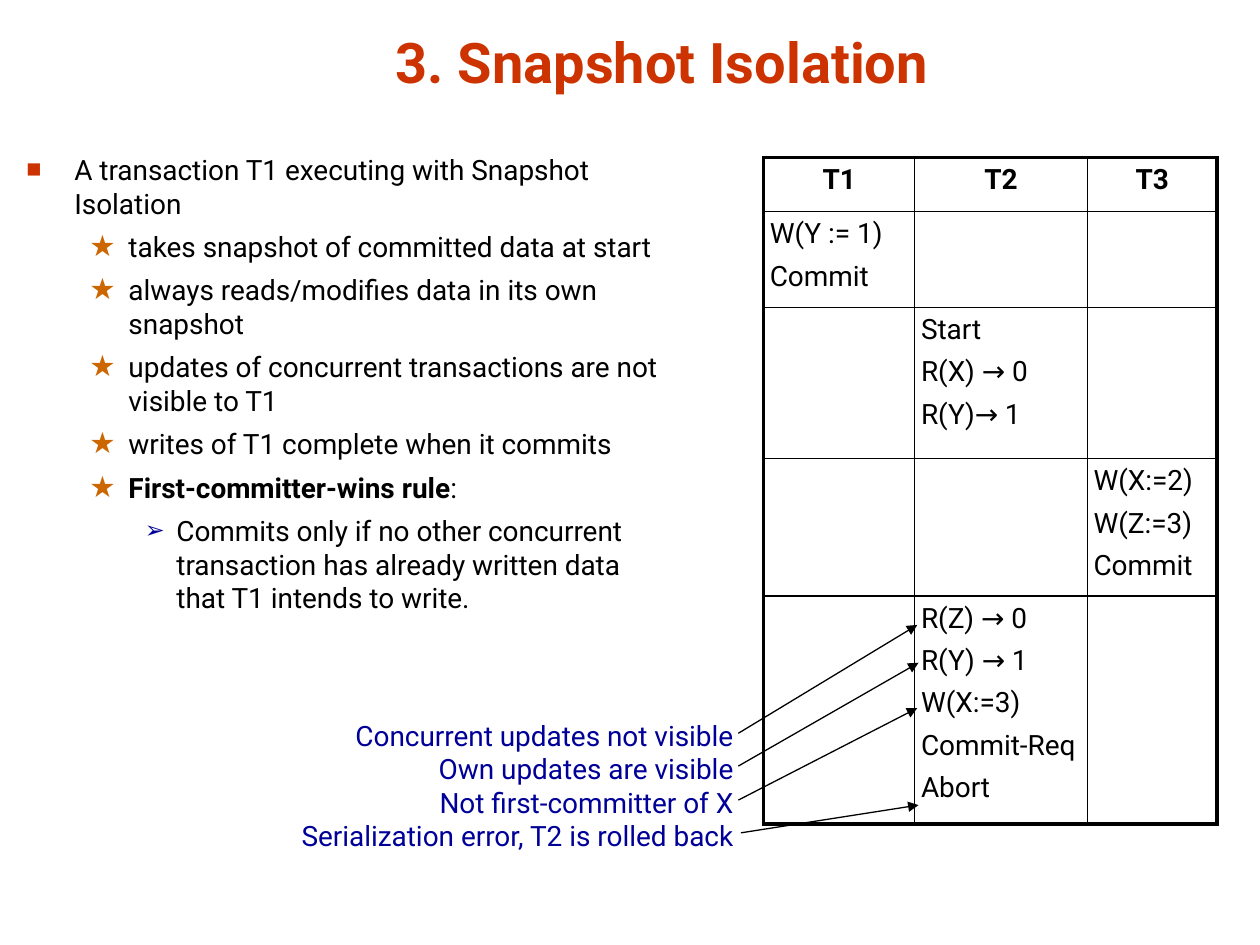
"""Build the Snapshot Isolation slide: rules, a schedule table and annotated arrows."""
from typing import NamedTuple

from lxml.etree import SubElement
from pptx import Presentation
from pptx.dml.color import RGBColor
from pptx.enum.shapes import MSO_CONNECTOR
from pptx.enum.text import MSO_ANCHOR, MSO_AUTO_SIZE, PP_ALIGN
from pptx.oxml.ns import qn
from pptx.util import Inches, Pt

BLACK = RGBColor(0x00, 0x00, 0x00)
RED = RGBColor(0xCC, 0x33, 0x00)
ORANGE = RGBColor(0xCC, 0x66, 0x00)
NAVY = RGBColor(0x00, 0x00, 0x99)
FONT = "Roboto"
GAP = Pt(5.6)


class Level(NamedTuple):
    bullet: str
    color: RGBColor
    percent: int
    margin: float
    hanging: float


class Item(NamedTuple):
    level: int
    text: str
    bold: str = ""


class Arrow(NamedTuple):
    x1: float
    y1: float
    x2: float
    y2: float


LEVELS = [
    Level("■", RED, 90, 0.38, 0.38),
    Level("★", ORANGE, 105, 0.81, 0.31),
    Level("➢", NAVY, 85, 1.19, 0.25),
]
ITEMS = [
    Item(0, "A transaction T1 executing with Snapshot Isolation"),
    Item(1, "takes snapshot of committed data at start"),
    Item(1, "always reads/modifies data in its own snapshot"),
    Item(1, "updates of concurrent transactions are not visible to T1"),
    Item(1, "writes of T1 complete when it commits"),
    Item(1, ":", bold="First-committer-wins rule"),
    Item(2, "Commits only if no other concurrent transaction has already "
            "written data that T1 intends to write."),
]
COLUMNS = [1.2, 1.37, 1.03]
ROWS = [0.43, 0.76, 1.2, 1.09, 1.81]
SCHEDULE = [
    ["T1", "T2", "T3"],
    ["W(Y := 1)\nCommit", "", ""],
    ["", "Start\nR(X) → 0\nR(Y)→ 1", ""],
    ["", "", "W(X:=2)\nW(Z:=3)\nCommit"],
    ["", "R(Z) → 0\nR(Y) → 1\nW(X:=3)\nCommit-Req\nAbort", ""],
]
NOTES = [
    "Concurrent updates not visible",
    "Own updates are visible",
    "Not first-committer of X",
    "Serialization error, T2 is rolled back",
]
ARROWS = [
    Arrow(5.86, 5.82, 7.28, 4.96),
    Arrow(5.86, 6.08, 7.29, 5.26),
    Arrow(5.86, 6.35, 7.28, 5.62),
    Arrow(5.88, 6.61, 7.29, 6.39),
]


def place(sp, left: float, top: float, width: float, height: float) -> None:
    sp.left, sp.top = Inches(left), Inches(top)
    sp.width, sp.height = Inches(width), Inches(height)


def style(p, color: RGBColor = BLACK, size: int = 16, bold: bool = False) -> None:
    for r in p.runs:
        r.font.name, r.font.size, r.font.bold = FONT, Pt(size), bold
        r.font.color.rgb = color


def set_bullet(p, level: Level) -> None:
    pPr = p._p.get_or_add_pPr()
    pPr.set("marL", str(Inches(level.margin)))
    pPr.set("indent", str(-Inches(level.hanging)))
    color = SubElement(pPr, qn("a:buClr"))
    SubElement(color, qn("a:srgbClr"), val=str(level.color))
    SubElement(pPr, qn("a:buSzPct"), val=str(level.percent * 1000))
    SubElement(pPr, qn("a:buChar"), char=level.bullet)


def add_title(s, text: str) -> None:
    sp = s.shapes.title
    place(sp, 0.84, 0.13, 8.83, 0.67)
    tf = sp.text_frame
    tf.text = text
    tf.auto_size, tf.vertical_anchor = MSO_AUTO_SIZE.NONE, MSO_ANCHOR.BOTTOM
    p = tf.paragraphs[0]
    p.alignment = PP_ALIGN.CENTER
    style(p, RED, 32, True)


def add_rules(s, items: list[Item]) -> None:
    sp = s.placeholders[1]
    place(sp, 0.11, 1.16, 5.21, 5.79)
    tf = sp.text_frame
    tf.text = "\n".join(item.bold + item.text for item in items)
    tf.auto_size = MSO_AUTO_SIZE.NONE
    for p, item in zip(tf.paragraphs, items):
        p.level, p.space_before = item.level, GAP
        set_bullet(p, LEVELS[item.level])
        if item.bold:
            p.runs[0].text = item.bold
            p.add_run().text = item.text
        style(p)
        p.runs[0].font.bold = bool(item.bold)


def set_borders(cell, row: int, col: int) -> None:
    edges = {
        "a:lnL": col == 0,
        "a:lnR": col == len(COLUMNS) - 1,
        "a:lnT": row == 0,
        "a:lnB": row == len(ROWS) - 1,
    }
    tcPr = cell._tc.get_or_add_tcPr()
    for tag, outer in edges.items():
        ln = SubElement(tcPr, qn(tag), w=str(Pt(2.25 if outer else 1)))
        fill = SubElement(ln, qn("a:solidFill"))
        SubElement(fill, qn("a:srgbClr"), val=str(BLACK))


def add_schedule(s) -> None:
    frame = s.shapes.add_table(len(ROWS), len(COLUMNS), Inches(6.06), Inches(1.25),
                               Inches(sum(COLUMNS)), Inches(sum(ROWS)))
    table = frame.table
    table.first_row = table.horz_banding = False
    for column, width in zip(table.columns, COLUMNS):
        column.width = Inches(width)
    for i, height in enumerate(ROWS):
        table.rows[i].height = Inches(height)
        for j, text in enumerate(SCHEDULE[i]):
            cell = table.cell(i, j)
            cell.margin_left = cell.margin_right = Inches(0.05)
            cell.margin_top = cell.margin_bottom = Inches(0.05)
            set_borders(cell, i, j)
            cell.fill.background()
            cell.text_frame.text = text
            for p in cell.text_frame.paragraphs:
                p.space_before = GAP
                p.alignment = PP_ALIGN.CENTER if i == 0 else PP_ALIGN.LEFT
                style(p, bold=i == 0)


def add_notes(s, notes: list[str]) -> None:
    sp = s.shapes.add_textbox(Inches(2.24), Inches(5.65), Inches(3.68), Inches(1.17))
    tf = sp.text_frame
    tf.text = "\n".join(notes)
    tf.word_wrap, tf.auto_size = False, MSO_AUTO_SIZE.SHAPE_TO_FIT_TEXT
    for p in tf.paragraphs:
        p.alignment = PP_ALIGN.RIGHT
        style(p, NAVY)


def add_arrow(s, arrow: Arrow) -> None:
    line = s.shapes.add_connector(MSO_CONNECTOR.STRAIGHT, *map(Inches, arrow))
    line.line.color.rgb, line.line.width = BLACK, Pt(0.75)
    SubElement(line.line._get_or_add_ln(), qn("a:tailEnd"), type="triangle")
    SubElement(line._element.spPr, qn("a:effectLst"))


def main() -> None:
    prs = Presentation()
    prs.slide_width, prs.slide_height = Inches(10), Inches(7.5)
    s = prs.slides.add_slide(prs.slide_layouts[1])
    add_title(s, "3. Snapshot Isolation")
    add_rules(s, ITEMS)
    add_schedule(s)
    add_notes(s, NOTES)
    for arrow in ARROWS:
        add_arrow(s, arrow)
    prs.save("out.pptx")


if __name__ == "__main__":
    main()
